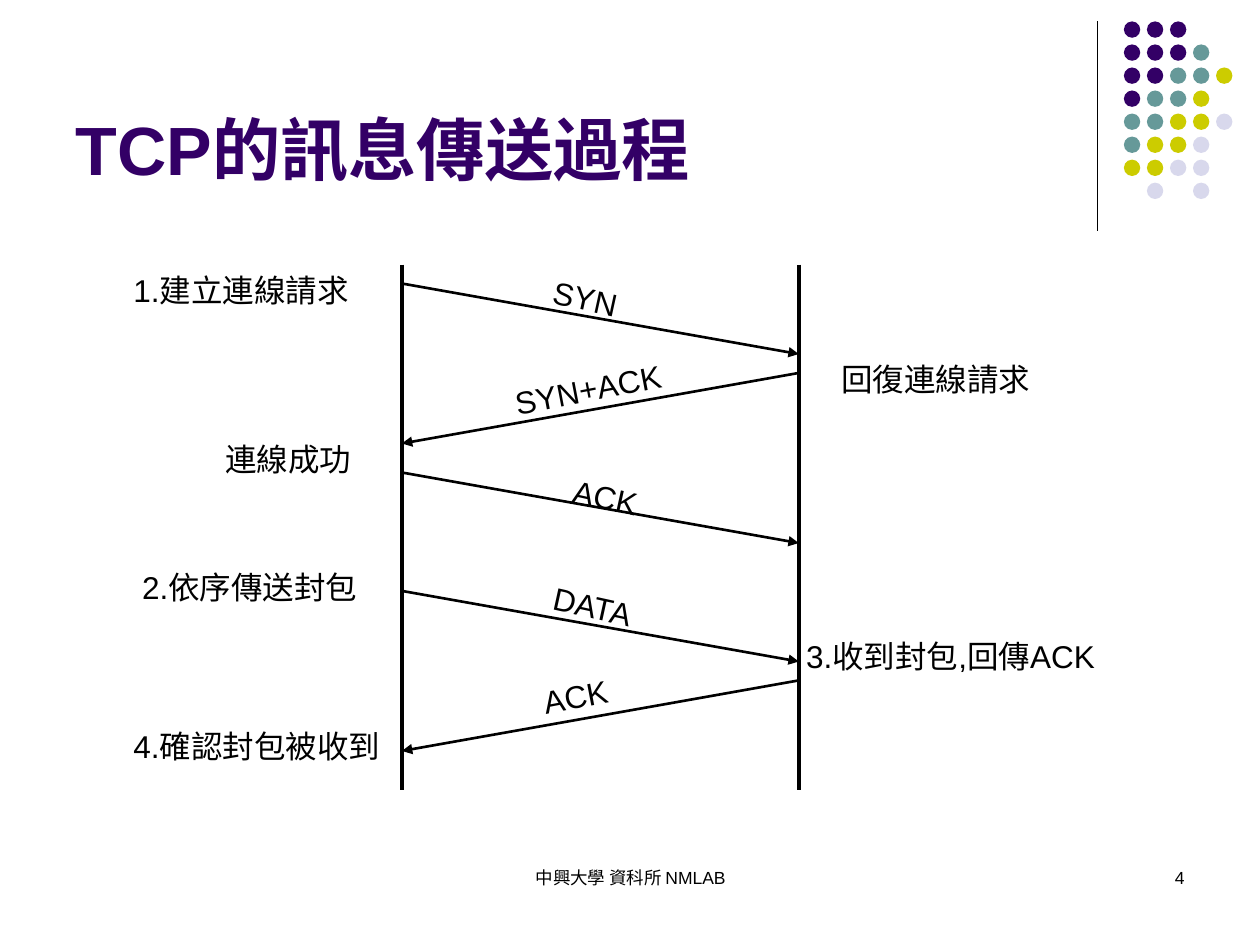
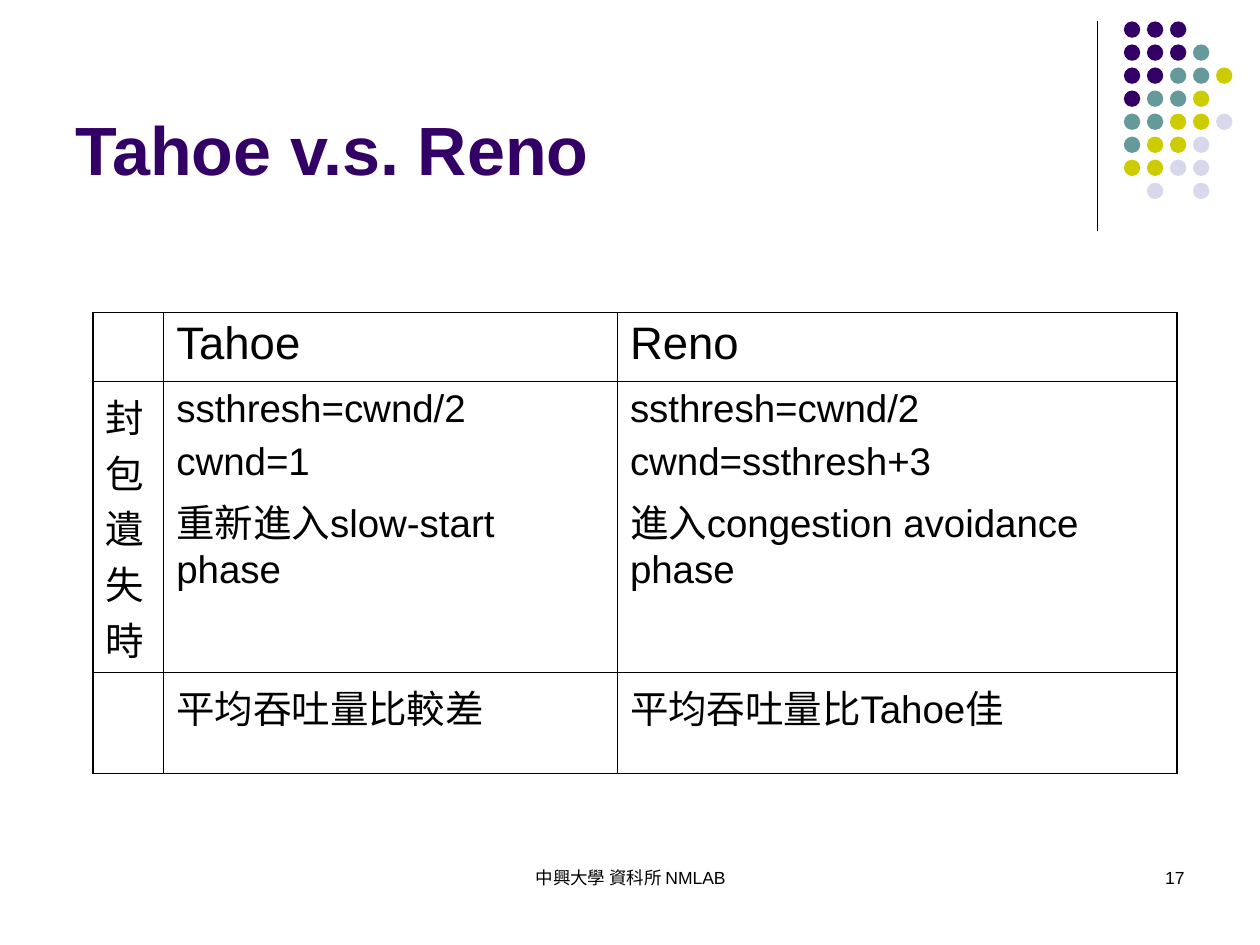
"""Build two slides on TCP message exchange and the Tahoe and Reno variants."""
from lxml.etree import SubElement
from pptx import Presentation
from pptx.dml.color import RGBColor
from pptx.enum.shapes import MSO_CONNECTOR, MSO_SHAPE
from pptx.enum.text import MSO_ANCHOR, MSO_AUTO_SIZE, PP_ALIGN
from pptx.oxml.ns import qn
from pptx.util import Inches, Pt

FONT = "Arial"
BLACK = "000000"
PURPLE = "330066"
DOT_COLORS = {"P": PURPLE, "T": "669999", "Y": "CCCC00", "L": "D8D8EC"}
DOT_ROWS = ["PPP", "PPPT", "PPTTY", "PTTY", "TTYYL", "TYYL", "YYLL", " L L"]
DOT_LEFT, DOT_TOP, DOT_SIZE = 8.92, 0.17, 0.13
DOT_STEP = 1.28 / 7
FOOTER = "中興大學 資科所 NMLAB"

SENDER_X, RECEIVER_X = 3.19, 6.34
LIFELINE_TOP, LIFELINE_BOTTOM = 2.1, 6.27
MESSAGE_DROP = 0.56
LABEL_HEIGHT = 0.4
FORWARD_TILT, BACK_TILT = 12.4, -10.9
MESSAGES = [
    ("SYN", 2.25, True, 4.29, 2.17, 0.77),
    ("SYN+ACK", 2.96, False, 3.98, 2.88, 1.43),
    ("ACK", 3.75, True, 4.45, 3.75, 0.77),
    ("DATA", 4.69, True, 4.29, 4.62, 0.9),
    ("ACK", 5.4, False, 4.21, 5.32, 0.77),
]
STEPS = [
    ("1.建立連線請求", 0.96, 2.1, 1.97),
    ("回復連線請求", 6.58, 2.81, 1.7),
    ("連線成功", 1.69, 3.44, 1.2),
    ("2.依序傳送封包", 1.03, 4.46, 1.97),
    ("3.收到封包,回傳ACK", 6.3, 5.01, 2.73),
    ("4.確認封包被收到", 0.96, 5.72, 2.22),
]

COLUMN_WIDTHS = [0.56, 3.6, 4.44]
ROW_HEIGHTS = [0.55, 2.31, 0.8]
OUTER_BORDER, INNER_BORDER = 1.08, 0.45
COMPARISON = [
    ["", "Tahoe", "Reno"],
    ["封包遺失時",
     "ssthresh=cwnd/2\ncwnd=1\n重新進入slow-start phase",
     "ssthresh=cwnd/2\ncwnd=ssthresh+3\n進入congestion avoidance phase"],
    ["", "平均吞吐量比較差", "平均吞吐量比Tahoe佳"],
]


def rgb(value):
    """Turn a hex string into a colour."""
    return RGBColor.from_string(value)


def write(tf, text, size, color=BLACK, bold=False, align=PP_ALIGN.LEFT, before=0):
    """Fill a text frame with one formatted paragraph per line of text."""
    tf.text = text
    for p in tf.paragraphs:
        for name, value in {"alignment": align, "space_before": Pt(before)}.items():
            setattr(p, name, value)
        for r in p.runs:
            for name, value in {"name": FONT, "size": Pt(size), "bold": bold}.items():
                setattr(r.font, name, value)
            r.font.color.rgb = rgb(color)


def add_text(s, text, left, top, width, height, size, align=PP_ALIGN.LEFT, wrap=True):
    """Add a text box and return it."""
    sp = s.shapes.add_textbox(Inches(left), Inches(top), Inches(width), Inches(height))
    sp.text_frame.word_wrap = wrap
    write(sp.text_frame, text, size, align=align)
    return sp


def add_label(s, text, left, top, width, tilt=0):
    """Add a one-line diagram label, tilted if asked."""
    sp = add_text(s, text, left, top, width, LABEL_HEIGHT, 18, wrap=False)
    sp.text_frame.auto_size = MSO_AUTO_SIZE.SHAPE_TO_FIT_TEXT
    sp.rotation = tilt


def add_line(s, x1, y1, x2, y2, width, arrow=False):
    """Add a black straight line, with an arrowhead at its end if asked."""
    line = s.shapes.add_connector(
        MSO_CONNECTOR.STRAIGHT, Inches(x1), Inches(y1), Inches(x2), Inches(y2))
    line.line.width = Pt(width)
    line.line.color.rgb = rgb(BLACK)
    if arrow:
        SubElement(line.line._get_or_add_ln(), qn("a:tailEnd"), type="triangle")
    SubElement(line._element.spPr, qn("a:effectLst"))


def add_dots(s):
    """Draw the corner pattern of dots."""
    for row, keys in enumerate(DOT_ROWS):
        for col, key in enumerate(keys):
            if key in DOT_COLORS:
                dot = s.shapes.add_shape(
                    MSO_SHAPE.OVAL, Inches(DOT_LEFT + col * DOT_STEP),
                    Inches(DOT_TOP + row * DOT_STEP), Inches(DOT_SIZE), Inches(DOT_SIZE))
                dot.shadow.inherit = False
                dot.fill.solid()
                dot.fill.fore_color.rgb = rgb(DOT_COLORS[key])
                dot.line.fill.background()


def add_slide(prs, title, number):
    """Add a slide with the shared title, corner pattern and footer."""
    s = prs.slides.add_slide(prs.slide_layouts[5])
    add_line(s, 8.71, 0.17, 8.71, 1.83, 0.75)
    add_dots(s)
    add_text(s, FOOTER, 3.42, 6.83, 3.17, 0.5, 10, PP_ALIGN.CENTER)
    add_text(s, str(number), 7.17, 6.83, 2.33, 0.5, 10, PP_ALIGN.RIGHT)
    sp = s.shapes.title
    box = {"left": 0.5, "top": 0.13, "width": 8.25, "height": 1.42}
    for name, value in box.items():
        setattr(sp, name, Inches(value))
    tf = sp.text_frame
    tf.vertical_anchor = MSO_ANCHOR.BOTTOM
    tf.auto_size = MSO_AUTO_SIZE.NONE
    write(tf, title, 39, PURPLE, bold=True)
    return s


def add_sequence(s):
    """Draw the two lifelines, the messages between them and the step labels."""
    for x in (SENDER_X, RECEIVER_X):
        add_line(s, x, LIFELINE_TOP, x, LIFELINE_BOTTOM, 2.25)
    for text, y, forward, left, top, width in MESSAGES:
        start, end = (SENDER_X, RECEIVER_X) if forward else (RECEIVER_X, SENDER_X)
        add_line(s, start, y, end, y + MESSAGE_DROP, 1.5, arrow=True)
        add_label(s, text, left, top, width, FORWARD_TILT if forward else BACK_TILT)
    for step in STEPS:
        add_label(s, *step)


def set_borders(cell, outer):
    """Give a cell black borders, thicker on its outer sides."""
    tc_pr = cell._tc.get_or_add_tcPr()
    for side, is_outer in outer.items():
        width = Pt(OUTER_BORDER if is_outer else INNER_BORDER)
        ln = SubElement(tc_pr, qn(f"a:ln{side}"), w=str(width))
        fill = SubElement(ln, qn("a:solidFill"))
        SubElement(fill, qn("a:srgbClr"), val=BLACK)


def add_comparison(s):
    """Add the table that compares Tahoe with Reno."""
    table = s.shapes.add_table(
        len(ROW_HEIGHTS), len(COLUMN_WIDTHS), Inches(0.74), Inches(2.48),
        Inches(sum(COLUMN_WIDTHS)), Inches(sum(ROW_HEIGHTS))).table
    table.first_row = table.horz_banding = False
    for column, width in zip(table.columns, COLUMN_WIDTHS):
        column.width = Inches(width)
    for row, height in zip(table.rows, ROW_HEIGHTS):
        row.height = Inches(height)
    last_row, last_col = len(ROW_HEIGHTS) - 1, len(COLUMN_WIDTHS) - 1
    for i, texts in enumerate(COMPARISON):
        size = 26 if i == 0 else 22
        for j, text in enumerate(texts):
            cell = table.cell(i, j)
            set_borders(cell, {"L": j == 0, "R": j == last_col,
                               "T": i == 0, "B": i == last_row})
            cell.fill.background()
            write(cell.text_frame, text, size, before=size / 4)


def main():
    """Build and save the presentation."""
    prs = Presentation()
    prs.slide_width, prs.slide_height = Inches(10), Inches(7.5)
    add_sequence(add_slide(prs, "TCP的訊息傳送過程", 4))
    add_comparison(add_slide(prs, "Tahoe v.s. Reno", 17))
    prs.save("out.pptx")


if __name__ == "__main__":
    main()
